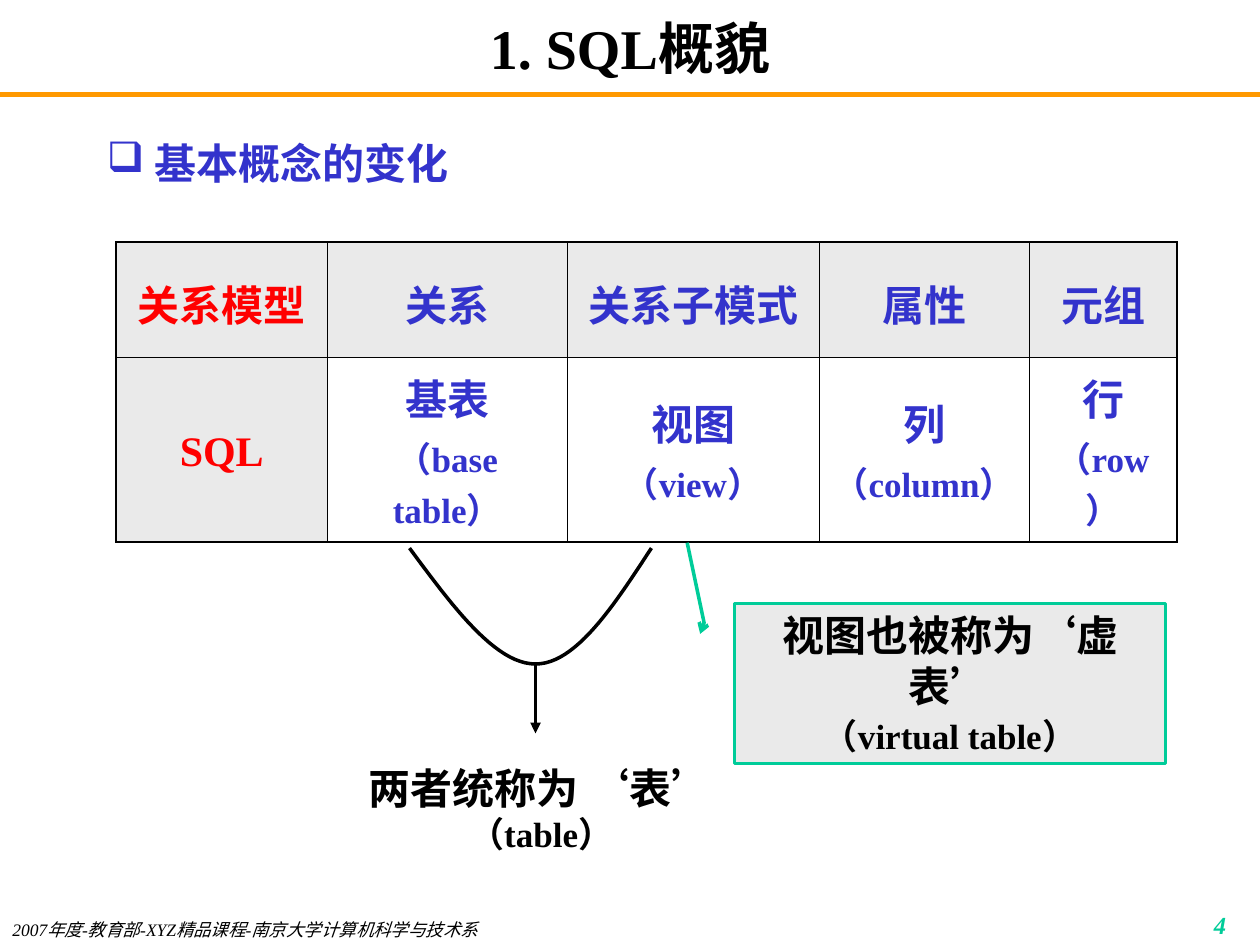
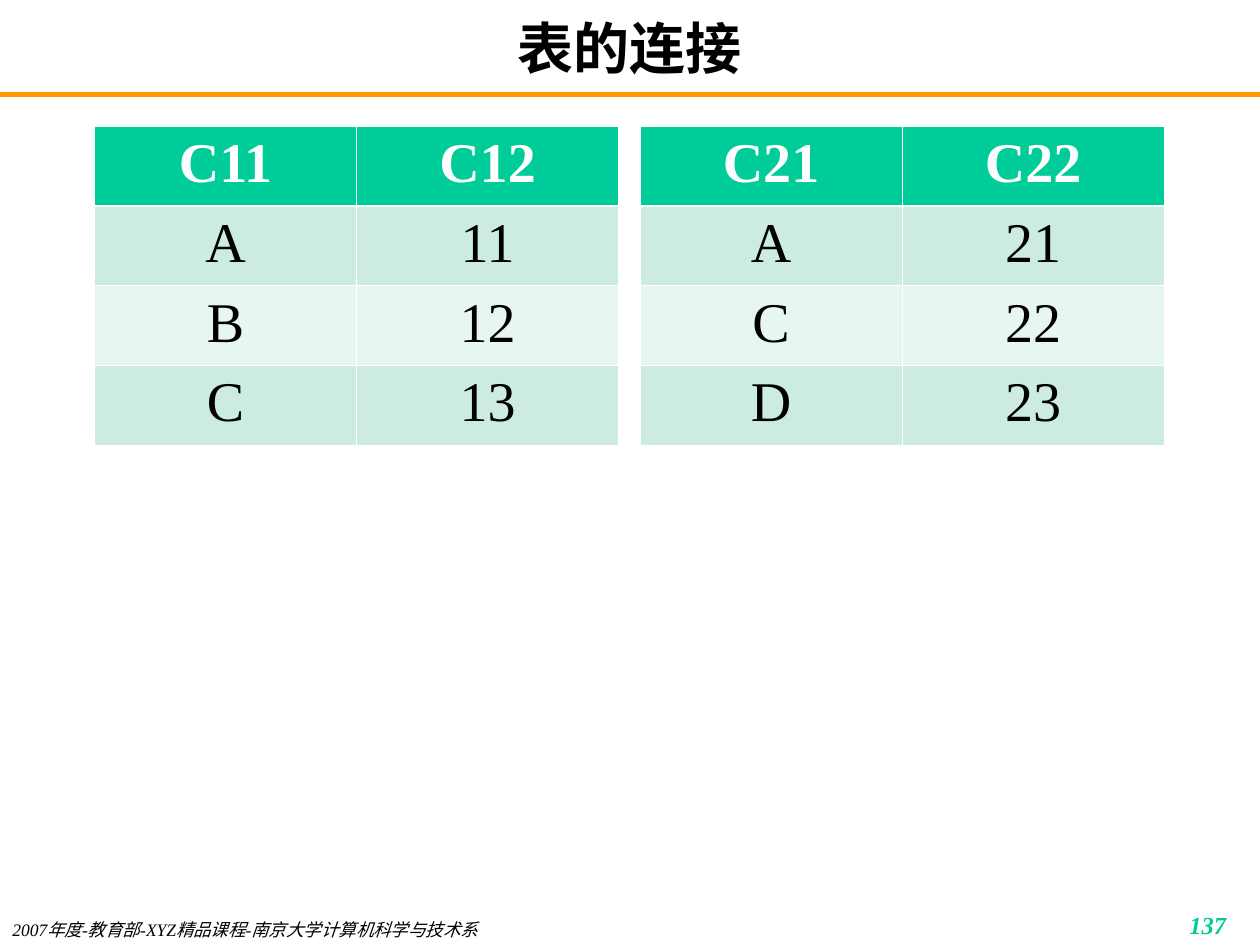
from dataclasses import dataclass
from typing import NamedTuple

from lxml import etree
from pptx import Presentation
from pptx import util as u
from pptx.dml import color
from pptx.enum import shapes, text
from pptx.oxml import ns

FONT = "Times New Roman"
BLACK, WHITE, RED, BLUE = "000000", "FFFFFF", "FF0000", "3333CC"
GREEN, ORANGE, GREY = "00CC99", "FF9900", "EAEAEA"
MINT, PALE_MINT = "CBECDE", "E7F6EF"
FOOTER = "2007年度-教育部-XYZ精品课程-南京大学计算机科学与技术系"
LEFT, CENTER, RIGHT = (text.PP_ALIGN.LEFT, text.PP_ALIGN.CENTER, text.PP_ALIGN.RIGHT)
TOP, MIDDLE = text.MSO_ANCHOR.TOP, text.MSO_ANCHOR.MIDDLE


class Box(NamedTuple):
    left: float
    top: float
    width: float
    height: float

    def emu(self) -> list[int]:
        return [u.Inches(v) for v in self]


class Run(NamedTuple):
    text: str
    size: float = 24
    color: str = BLACK
    bold: bool = True
    italic: bool = False


@dataclass
class Para:
    runs: list[Run]
    align: int = CENTER
    line_spacing: float = 1.0
    before: float = 0
    bullet: str = ""


@dataclass
class Cell:
    paras: list[Para]
    fill: str = ""


@dataclass
class Grid:
    box: Box
    cols: list[float]
    rows: list[float]
    cells: list[list[Cell]]
    line: str
    inner: float
    outer: float
    header: float
    anchor: int = TOP


def rgb(value: str) -> color.RGBColor:
    return color.RGBColor.from_string(value)


def sub(parent, tag: str, **attrs):
    return etree.SubElement(parent, ns.qn(tag), attrs)


def write(tf, paras: list[Para]) -> None:
    for i, para in enumerate(paras):
        p = tf.add_paragraph() if i else tf.paragraphs[0]
        p.alignment = para.align
        p.line_spacing = para.line_spacing
        if i:
            p.space_before = u.Pt(para.before)
        if para.bullet:
            pPr = p._p.get_or_add_pPr()
            pPr.set("marL", str(u.Inches(0.38)))
            pPr.set("indent", str(-u.Inches(0.38)))
            sub(pPr, "a:buChar", char=para.bullet)
        for run in para.runs:
            r = p.add_run()
            r.text = run.text
            r.font.name = FONT
            r.font.size = u.Pt(run.size)
            r.font.bold = run.bold
            r.font.italic = run.italic
            r.font.color.rgb = rgb(run.color)


def add_text(slide, box: Box, paras: list[Para], anchor: int = TOP, inset_y: float = 0.05) -> None:
    tf = slide.shapes.add_textbox(*box.emu()).text_frame
    tf.word_wrap = True
    tf.vertical_anchor = anchor
    tf.margin_top = tf.margin_bottom = u.Inches(inset_y)
    write(tf, paras)


def set_line(sp, value: str, width: float, **ends: str) -> None:
    sp.line.color.rgb = rgb(value)
    sp.line.width = u.Pt(width)
    for tag, kind in ends.items():
        sub(sp.line._get_or_add_ln(), f"a:{tag}", type=kind)


def add_line(slide, start: tuple, end: tuple, value: str, width: float, **ends: str) -> None:
    points = [u.Inches(v) for v in (*start, *end)]
    sp = slide.shapes.add_connector(shapes.MSO_CONNECTOR.STRAIGHT, *points)
    set_line(sp, value, width, **ends)
    sub(sp._element.spPr, "a:effectLst")


def set_borders(cell, value: str, widths: dict[str, float]) -> None:
    tcPr = cell._tc.get_or_add_tcPr()
    for i, (side, width) in enumerate(widths.items()):
        ln = etree.Element(ns.qn(f"a:ln{side}"), w=str(u.Pt(width)))
        sub(sub(ln, "a:solidFill"), "a:srgbClr", val=value)
        tcPr.insert(i, ln)


def add_grid(slide, grid: Grid) -> None:
    n_rows, n_cols = len(grid.rows), len(grid.cols)
    table = slide.shapes.add_table(n_rows, n_cols, *grid.box.emu()).table
    table.first_row = table.horz_banding = False
    for column, width in zip(table.columns, grid.cols):
        column.width = u.Inches(width)
    for row, height in zip(table.rows, grid.rows):
        row.height = u.Inches(height)
    across = [grid.outer] + [grid.inner] * (n_cols - 1) + [grid.outer]
    down = [grid.outer, grid.header] + [grid.inner] * (n_rows - 2) + [grid.outer]
    for i, row in enumerate(grid.cells):
        for j, content in enumerate(row):
            cell = table.cell(i, j)
            cell.vertical_anchor = grid.anchor
            if content.fill:
                cell.fill.solid()
                cell.fill.fore_color.rgb = rgb(content.fill)
            else:
                cell.fill.background()
            set_borders(cell, grid.line, {"L": across[j], "R": across[j + 1], "T": down[i], "B": down[i + 1]})
            write(cell.text_frame, content.paras)


def bezier(points: list[tuple], steps: int = 24) -> list[tuple]:
    curve = []
    for k in range(1, steps + 1):
        t = k / steps
        weights = ((1 - t) ** 3, 3 * t * (1 - t) ** 2, 3 * t * t * (1 - t), t ** 3)
        curve.append(tuple(u.Inches(sum(w * p[axis] for w, p in zip(weights, points))) for axis in (0, 1)))
    return curve


def add_brace(slide) -> None:
    start, bottom, end = (3.25, 4.35), (4.25, 5.27), (5.17, 4.35)
    builder = slide.shapes.build_freeform(*(u.Inches(v) for v in start))
    left = bezier([start, (3.59, 4.81), (3.93, 5.27), bottom])
    right = bezier([bottom, (4.57, 5.27), (4.87, 4.81), end])
    builder.add_line_segments(left + right, close=False)
    sp = builder.convert_to_shape()
    sp.shadow.inherit = False
    sp.fill.background()
    set_line(sp, BLACK, 2)
    add_line(slide, bottom, (4.25, 5.82), BLACK, 2, tailEnd="triangle")


def add_callout(slide, box: Box, paras: list[Para]) -> None:
    sp = slide.shapes.add_shape(shapes.MSO_SHAPE.LINE_CALLOUT_2, *box.emu())
    for i, value in enumerate((0.19, -0.08, 0.13, -0.07, -0.38, -0.11)):
        sp.adjustments[i] = value
    sp.shadow.inherit = False
    sp.fill.solid()
    sp.fill.fore_color.rgb = rgb(GREY)
    set_line(sp, GREEN, 2, headEnd="arrow")
    tf = sp.text_frame
    tf.word_wrap = True
    tf.vertical_anchor = TOP
    tf.auto_size = text.MSO_AUTO_SIZE.SHAPE_TO_FIT_TEXT
    write(tf, paras)


def new_slide(prs, title: str, number: int):
    slide = prs.slides.add_slide(prs.slide_layouts[6])
    add_line(slide, (0, 0.75), (10, 0.75), ORANGE, 3)
    add_text(slide, Box(0.75, 0.08, 8.5, 0.58), [Para([Run(title, 32)])], MIDDLE)
    add_text(slide, Box(0, 7.29, 6.26, 0.21),
             [Para([Run(FOOTER, 10, bold=False, italic=True)], LEFT)], inset_y=0)
    add_text(slide, Box(7.75, 7.17, 2.08, 0.25),
             [Para([Run(str(number), 14, GREEN, italic=True)], RIGHT)])
    return slide


def heading_cell(label: str, value: str) -> Cell:
    return Cell([Para([Run(label, color=value)], line_spacing=1.1)], GREY)


def term_paras(term: str, english: str, value: str) -> list[Para]:
    return [Para([Run(term, color=value)]),
            Para([Run(f"（{english}）", 20, value)], before=2.5)]


def overview_slide(prs) -> None:
    slide = new_slide(prs, "1. SQL概貌", 4)
    add_text(slide, Box(0.75, 1, 8.5, 0.6),
             [Para([Run("基本概念的变化", color=BLUE)], LEFT, 1.1, bullet="❑")])
    model = ["关系", "关系子模式", "属性", "元组"]
    sql = [("基表", "base table"), ("视图", "view"), ("列", "column"), ("行", "row")]
    cells = [
        [heading_cell("关系模型", RED)] + [heading_cell(m, BLUE) for m in model],
        [heading_cell("SQL", RED)] + [Cell(term_paras(*pair, BLUE)) for pair in sql],
    ]
    add_grid(slide, Grid(Box(0.92, 1.92, 8.42, 2.38), [1.68, 1.9, 2, 1.67, 1.17],
                         [0.92, 1.46], cells, BLACK, 0.45, 1.08, 0.45, MIDDLE))
    add_callout(slide, Box(5.83, 4.79, 3.42, 1.27),
                term_paras("视图也被称为‘虚表’", "virtual table", BLACK))
    add_brace(slide)
    add_text(slide, Box(2.42, 6, 3.75, 0.84),
             [Para([Run("两者统称为 ‘表’ "), Run("（table）", 20)])])


def join_slide(prs) -> None:
    slide = new_slide(prs, "表的连接", 137)
    tables = [
        (0.75, [("C11", "C12"), ("A", "11"), ("B", "12"), ("C", "13")]),
        (5.08, [("C21", "C22"), ("A", "21"), ("C", "22"), ("D", "23")]),
    ]
    fills = [GREEN, MINT, PALE_MINT, MINT]
    for left, rows in tables:
        cells = [[Cell([Para([Run(value, 32, BLACK if i else WHITE, bold=not i)])], fills[i])
                  for value in row] for i, row in enumerate(rows)]
        add_grid(slide, Grid(Box(left, 1, 4.17, 2.53), [2.08] * 2, [0.63] * 4,
                             cells, WHITE, 0.45, 0.45, 1.47))


def main() -> None:
    prs = Presentation()
    prs.slide_width, prs.slide_height = u.Inches(10), u.Inches(7.5)
    overview_slide(prs)
    join_slide(prs)
    prs.save("out.pptx")


if __name__ == "__main__":
    main()
